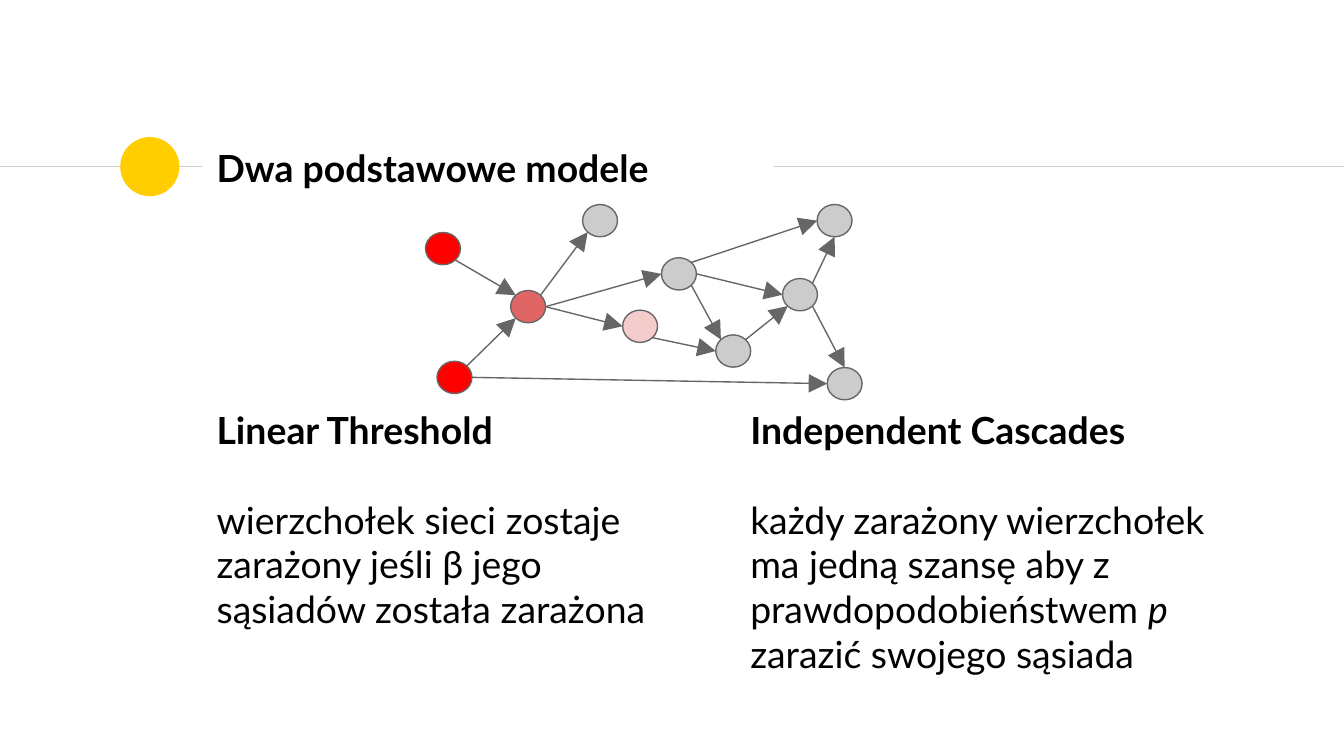
from math import cos, radians, sin

from lxml.etree import SubElement
from pptx import Presentation
from pptx.dml.color import RGBColor
from pptx.enum.shapes import MSO_CONNECTOR as Connector, MSO_SHAPE as Shape
from pptx.enum.text import MSO_ANCHOR as Anchor
from pptx.oxml.ns import qn
from pptx.util import Inches, Pt

deck = Presentation()
deck.slide_width = Inches(10)
deck.slide_height = deck.slide_width * 9 // 16
slide = deck.slides.add_slide(deck.slide_layouts[6])
shapes = slide.shapes
CELL = deck.slide_width / 100  # the grid has 100 columns of square cells


def cells(*counts):
    return [round(count * CELL) for count in counts]


def paint(color_format, hex_color):
    color_format.rgb = RGBColor.from_string(hex_color)


# Header rule, broken by the title, with the yellow dot on it
RULE_ROW = 12.4
rules = [((0, RULE_ROW), (15, RULE_ROW), "CCCCCC", False),
         ((57.6, RULE_ROW), (100, RULE_ROW), "CCCCCC", False)]
discs = [(11.15, RULE_ROW, 4.4, 4.4, "FFCD00", None)]

# Network: centre column, centre row and colour of each vertex
NODE_W, NODE_H = 2.6, 2.4
INFECTED, EXPOSED, WEAK, HEALTHY = "FF0000", "E06666", "F4CCCC", "CCCCCC"
EDGE = "666666"
nodes = {
    "seed top": (32.96, 18.5, INFECTED),
    "leaf": (44.65, 16.42, HEALTHY),
    "hub": (39.3, 22.82, EXPOSED),
    "weak": (47.63, 24.28, WEAK),
    "seed low": (33.82, 28.08, INFECTED),
    "fork": (50.52, 20.38, HEALTHY),
    "low": (54.56, 26.12, HEALTHY),
    "end top": (62.1, 16.42, HEALTHY),
    "end low": (62.85, 28.55, HEALTHY),
    "right": (59.53, 21.93, HEALTHY),
}
discs += [(x, y, NODE_W, NODE_H, color, EDGE) for x, y, color in nodes.values()]

# Edges leave and enter the vertices at compass points
compass = {"E": 0, "SE": 45, "S": 90, "SW": 135, "W": 180, "NW": 225, "N": 270, "NE": 315}
edges = [
    ("seed top", "SE", "hub", "NW"), ("seed low", "NE", "hub", "SW"),
    ("hub", "NE", "leaf", "SW"), ("hub", "E", "fork", "W"),
    ("hub", "E", "weak", "W"), ("low", "NE", "right", "SW"),
    ("fork", "SE", "low", "NW"), ("fork", "NE", "end top", "W"),
    ("weak", "SE", "low", "W"), ("fork", "E", "right", "W"),
    ("right", "NE", "end top", "S"), ("right", "SE", "end low", "N"),
    ("seed low", "E", "end low", "W"),
]
arrows = []
for source, leave, target, enter in edges:
    ends = []
    for node, side in ((source, leave), (target, enter)):
        x, y, _ = nodes[node]
        angle = radians(compass[side])
        ends.append((x + NODE_W / 2 * cos(angle), y + NODE_H / 2 * sin(angle)))
    arrows.append((*ends, EDGE, True))

for start, end, color, has_head in rules + arrows:
    line = shapes.add_connector(Connector.STRAIGHT, *cells(*start, *end))
    paint(line.line.color, color)
    line.line.width = Pt(0.75)
    if has_head:
        outline = line._element.spPr.find(qn("a:ln"))
        SubElement(outline, qn("a:tailEnd"), type="triangle", w="lg", len="lg")
    SubElement(line._element.spPr, qn("a:effectLst"))

for x, y, width, height, color, border in discs:
    disc = shapes.add_shape(Shape.OVAL, *cells(x - width / 2, y - height / 2, width, height))
    disc.shadow.inherit = False
    disc.fill.solid()
    paint(disc.fill.fore_color, color)
    if border:
        paint(disc.line.color, border)
        disc.line.width = Pt(0.75)
    else:
        disc.line.fill.background()

# Texts: box, anchor, paragraphs of (text, bold, italic) runs
TEXT_COL, BODY_ROW = 15.13, 29.3
texts = [
    ((TEXT_COL, 10.1, 42.4, 4.8), Anchor.MIDDLE, [[("Dwa podstawowe modele", True, False)]]),
    ((TEXT_COL, BODY_ROW, 37.5, 23.7), Anchor.TOP, [
        [("Linear Threshold", True, False)],
        [("wierzchołek sieci zostaje zarażony jeśli β jego sąsiadów została zarażona",
          False, False)]]),
    ((54.84, BODY_ROW, 37.5, 23.7), Anchor.TOP, [
        [("Independent Cascades", True, False)],
        [("każdy zarażony wierzchołek ma jedną szansę aby z prawdopodobieństwem ", False, False),
         ("p", False, True),
         (" zarazić swojego sąsiada", False, False)]]),
]
for box, anchor, paragraphs in texts:
    frame = shapes.add_textbox(*cells(*box)).text_frame
    frame.word_wrap = True
    frame.vertical_anchor = anchor
    frame.margin_left = frame.margin_right = frame.margin_top = frame.margin_bottom = Inches(0.1)
    for index, runs in enumerate(paragraphs):
        paragraph = frame.add_paragraph() if index else frame.paragraphs[0]
        if index:
            paragraph.space_before = Pt(24)
        for words, bold, italic in runs:
            run = paragraph.add_run()
            run.text = words
            run.font.name, run.font.size = "Lato", Pt(20)
            run.font.bold, run.font.italic = bold, italic
            paint(run.font.color, "000000")

deck.save("out.pptx")
